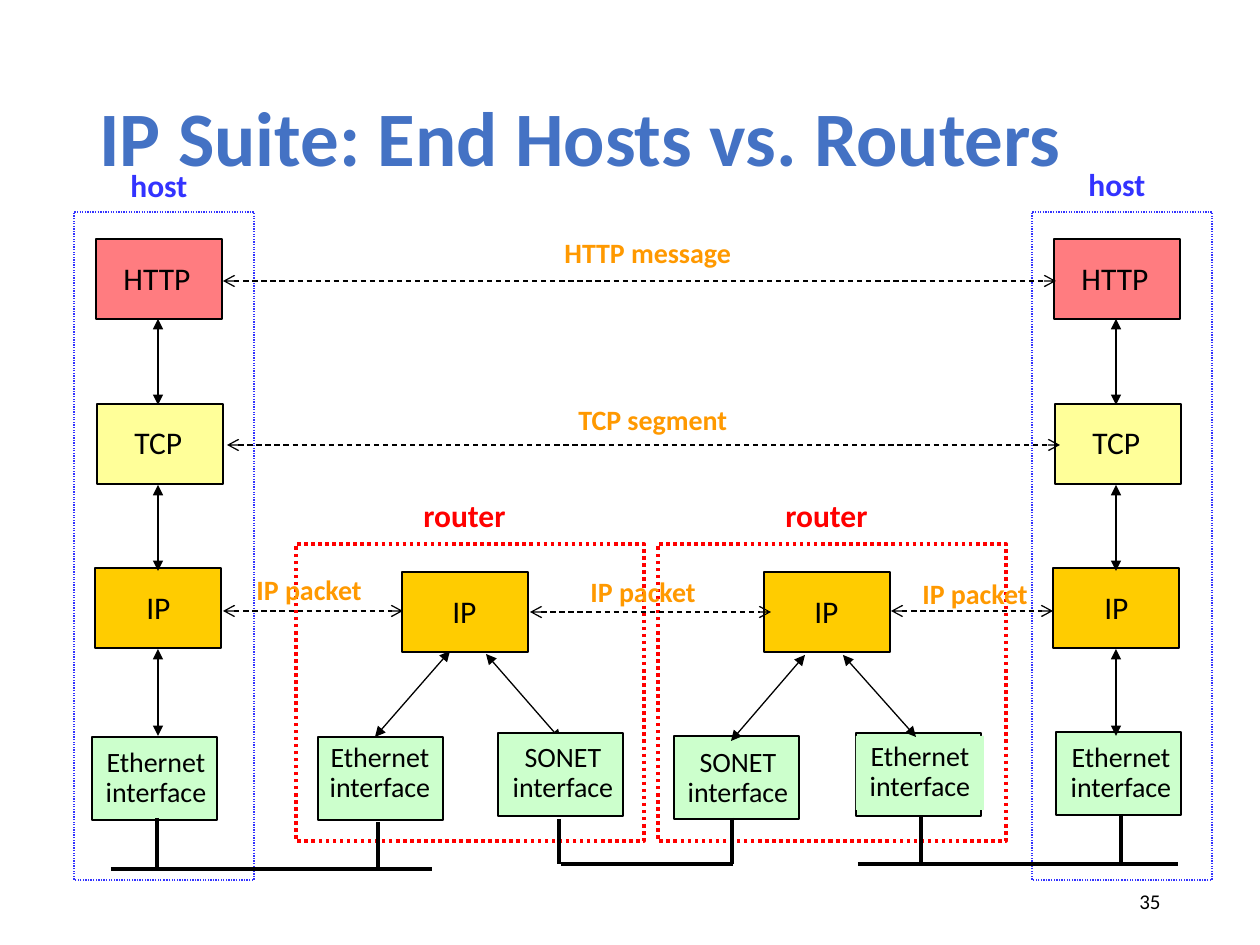
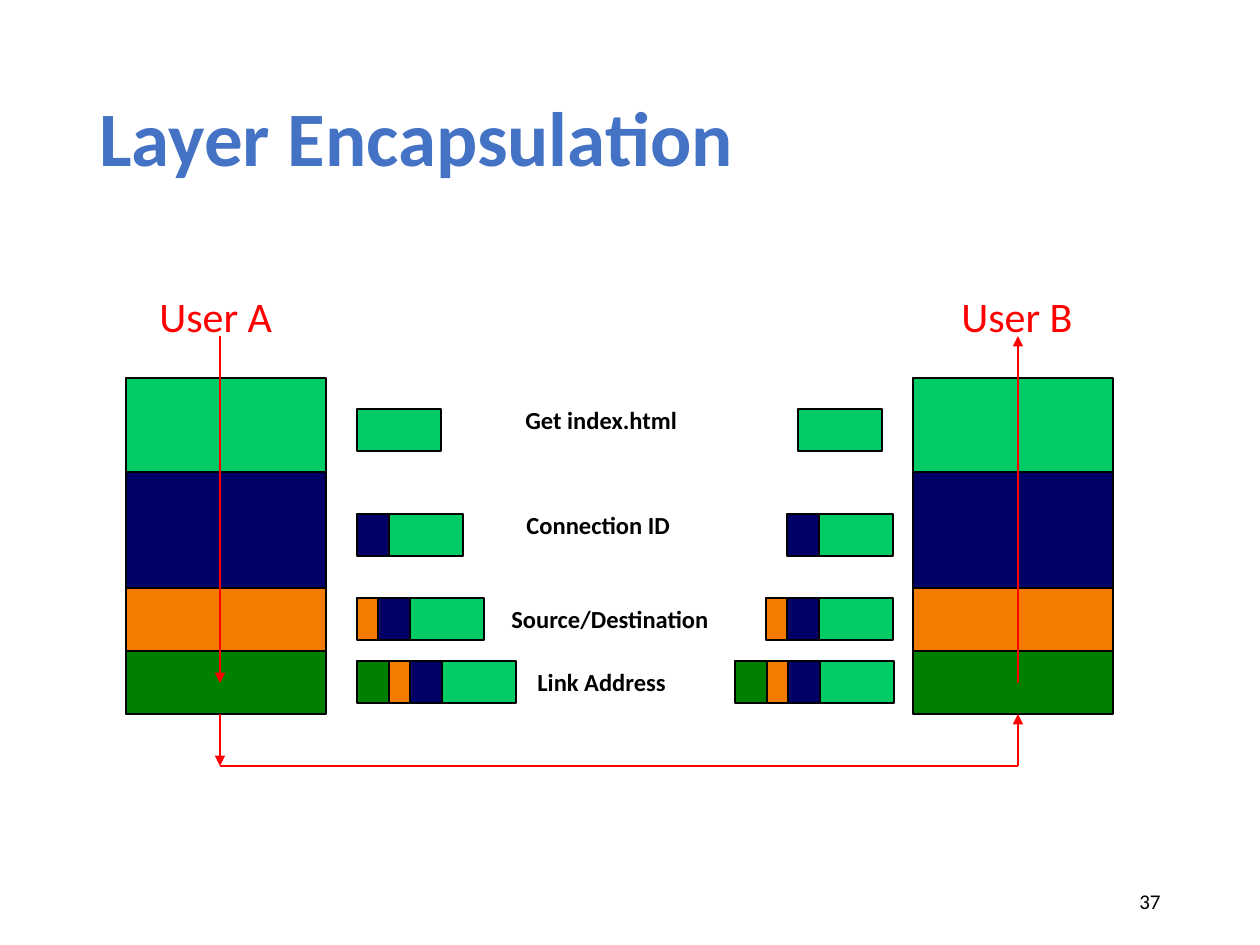
import collections
import pptx
import pptx.dml.color
import pptx.enum.dml
import pptx.enum.shapes
import pptx.enum.text
import pptx.oxml.ns
import pptx.util
from lxml import etree

RGBColor = pptx.dml.color.RGBColor
Align = pptx.enum.text.PP_ALIGN
Anchor = pptx.enum.text.MSO_ANCHOR
Dash = pptx.enum.dml.MSO_LINE

FONT = "Calibri"
BLACK = RGBColor(0x00, 0x00, 0x00)
TITLE_BLUE = RGBColor(0x44, 0x72, 0xC4)
HOST_BLUE = RGBColor(0x33, 0x33, 0xFF)
RED = RGBColor(0xFF, 0x00, 0x00)
MESSAGE_ORANGE = RGBColor(0xFF, 0x99, 0x00)
HTTP_PINK = RGBColor(0xFF, 0x7C, 0x80)
TCP_YELLOW = RGBColor(0xFF, 0xFF, 0x99)
IP_GOLD = RGBColor(0xFF, 0xCC, 0x00)
INTERFACE_GREEN = RGBColor(0xCC, 0xFF, 0xCC)
APPLICATION_GREEN = RGBColor(0x00, 0xCC, 0x66)
TRANSPORT_NAVY = RGBColor(0x00, 0x00, 0x66)
NETWORK_ORANGE = RGBColor(0xF4, 0x7A, 0x00)
LINK_GREEN = RGBColor(0x00, 0x80, 0x00)

PIXELS_PER_INCH = 126
SLIDE_WIDTH, SLIDE_HEIGHT = 1260, 945
LAYER_SIZE = (126, 80)
INTERFACE_SIZE = (125, 83)

# An interface box, the offset of its caption, and how it meets the arrows.
Interface = collections.namedtuple(
    "Interface", "left top name shift covers_arrow caption_fill", defaults=(False, None))
# A header is wider when it lies partly under the one in front of it.
Layer = collections.namedtuple("Layer", "color stack_height first_width inner_width overlap")
LAYERS = [
    Layer(APPLICATION_GREEN, 94, 84, 84, 10),
    Layer(TRANSPORT_NAVY, 116, 32, 42, 10),
    Layer(NETWORK_ORANGE, 63, 21, 42, 21),
    Layer(LINK_GREEN, 63, 32, 32, 0),
]


def emu(pixels):
    """Turn pixels into EMU."""
    return pptx.util.Emu(round(pixels * 914400 / PIXELS_PER_INCH))


def add_text(slide, box, lines, size, color=BLACK, bold=False, align=Align.LEFT,
             anchor=Anchor.TOP, wrap=False, spacing=None, fill=None):
    """Place a text box with one paragraph for each line."""
    shape = slide.shapes.add_textbox(*map(emu, box))
    if fill is not None:
        shape.fill.solid()
        shape.fill.fore_color.rgb = fill
    frame = shape.text_frame
    frame.word_wrap = wrap
    frame.vertical_anchor = anchor
    for index, line in enumerate(lines):
        paragraph = frame.paragraphs[0] if index == 0 else frame.add_paragraph()
        paragraph.alignment = align
        if spacing:
            paragraph.line_spacing = spacing
        run = paragraph.add_run()
        run.text = line
        run.font.name = FONT
        run.font.size = pptx.util.Pt(size)
        run.font.bold = bold
        run.font.color.rgb = color


def add_rectangle(slide, box, fill=None, line=BLACK, width=0.75, dash=None):
    """Place a rectangle; without a fill it is only a frame."""
    shape = slide.shapes.add_shape(
        pptx.enum.shapes.MSO_SHAPE.RECTANGLE, *map(emu, box))
    shape.shadow.inherit = False
    if fill is None:
        shape.fill.background()
    else:
        shape.fill.solid()
        shape.fill.fore_color.rgb = fill
    shape.line.color.rgb = line
    shape.line.width = pptx.util.Pt(width)
    if dash:
        shape.line.dash_style = dash


def add_line(slide, start, end, color=BLACK, width=0.75, dash=None, head=None, tail=None):
    """Draw a straight line with optional arrowheads at start and end."""
    connector = slide.shapes.add_connector(
        pptx.enum.shapes.MSO_CONNECTOR.STRAIGHT, *map(emu, (*start, *end)))
    connector.line.color.rgb = color
    connector.line.width = pptx.util.Pt(width)
    if dash:
        connector.line.dash_style = dash
    for tag, kind in (("a:headEnd", head), ("a:tailEnd", tail)):
        if kind:
            etree.SubElement(
                connector.get_or_add_ln(), pptx.oxml.ns.qn(tag), type=kind)
    etree.SubElement(connector._element.spPr, pptx.oxml.ns.qn("a:effectLst"))


def add_two_way_arrow(slide, start, end):
    """Draw a solid arrow between two neighbouring layers."""
    add_line(slide, start, end, head="triangle", tail="triangle")


def new_slide(presentation, title, number):
    """Add a blank slide with its title and slide number."""
    slide = presentation.slides.add_slide(presentation.slide_layouts[6])
    add_text(slide, (87, 50, 1086, 183), [title], 44, TITLE_BLUE, bold=True,
             anchor=Anchor.MIDDLE, wrap=True, spacing=0.9)
    add_text(slide, (890, 876, 283, 50), [str(number)], 12,
             align=Align.RIGHT, anchor=Anchor.MIDDLE, wrap=True)
    return slide


def draw_protocol(slide, left, top, name, color, caption):
    """Draw one protocol box; caption gives the text's offset and width."""
    shift, down, width = caption
    add_rectangle(slide, (left, top, *LAYER_SIZE), color)
    add_text(slide, (left + shift, top + down, width, 50), [name], 18)


def draw_interface(slide, left, top, interface):
    """Draw one network interface relative to the corner of its device."""
    left, top = left + interface.left, top + interface.top
    shift, down = interface.shift
    add_rectangle(slide, (left, top, *INTERFACE_SIZE), INTERFACE_GREEN)
    add_text(slide, (left + shift, top + down, 128, 74), [interface.name, "interface"], 16,
             align=Align.CENTER, spacing=0.9, fill=interface.caption_fill)


def draw_host(slide, box, interface, label_top):
    """Draw an end host with its four layers in a dotted frame."""
    left, top = box[:2]
    add_text(slide, (left + 44, label_top, 83, 50), ["host"], 18, HOST_BLUE, bold=True)
    draw_protocol(slide, left + 22, top + 27, "HTTP", HTTP_PINK, (15, 14, 93))
    draw_protocol(slide, left + 23, top + 192, "TCP", TCP_YELLOW, (25, 13, 73))
    draw_protocol(slide, left + 21, top + 356, "IP", IP_GOLD, (39, 14, 49))
    draw_interface(slide, left, top, interface)
    for start, end in ((107, 193), (273, 359), (437, 524)):
        add_two_way_arrow(slide, (left + 84, top + start), (left + 84, top + end))
    add_rectangle(slide, box, line=HOST_BLUE, dash=Dash.ROUND_DOT)


def draw_router(slide, box, interfaces, arrows):
    """Draw a router: IP above two interfaces, in a dotted frame."""
    left, top = box[:2]
    add_text(slide, (left + 115, top - 54, 111, 50), ["router"], 18, RED, bold=True)
    draw_protocol(slide, left + 106, top + 28, "IP", IP_GOLD, (38, 14, 49))
    for interface in interfaces:
        if not interface.covers_arrow:
            draw_interface(slide, left, top, interface)
    for start_x, start_y, end_x, end_y in arrows:
        add_two_way_arrow(slide, (left + start_x, top + start_y), (left + end_x, top + end_y))
    for interface in interfaces:
        if interface.covers_arrow:
            draw_interface(slide, left, top, interface)
    add_rectangle(slide, box, line=RED, width=2, dash=Dash.ROUND_DOT)


def draw_network(slide, left, right, level, drops):
    """Draw a physical link and the drops (x, top) that reach it."""
    for x, top in drops:
        add_line(slide, (x, top), (x, level), width=2)
    add_line(slide, (left, level), (right, level), width=2)


def draw_exchange(slide, left, right, level, name, label_box):
    """Draw the dashed arrow between peer layers and its label."""
    add_line(slide, (left, level), (right, level), dash=Dash.DASH, head="arrow", tail="arrow")
    add_text(slide, label_box, [name], 16, MESSAGE_ORANGE, bold=True)


def draw_stack(slide, box):
    """Draw a user's protocol stack, filling the box from the top."""
    left, top, width = box
    for layer in LAYERS:
        add_rectangle(slide, (left, top, width, layer.stack_height), layer.color)
        top += layer.stack_height


def draw_packet(slide, left, top, layers):
    """Draw a packet, payload first, so that each outer header lies in front."""
    cells = []
    for layer in reversed(layers):
        width = layer.inner_width if cells else layer.first_width
        start = left - layer.overlap if cells else left
        cells.append((start, width, layer.color))
        left = start + width
    for start, width, color in reversed(cells):
        add_rectangle(slide, (start, top, width, 42), color)


def build_hosts_and_routers(presentation):
    """Build the slide on end hosts and routers."""
    slide = new_slide(presentation, "IP Suite: End Hosts vs. Routers", 35)
    draw_host(slide, (74, 212, 180, 668), Interface(18, 525, "Ethernet", (0, 5)), 160)
    draw_host(slide, (1032, 212, 180, 668), Interface(24, 520, "Ethernet", (1, 5)), 159)
    draw_router(
        slide, (296, 544, 348, 297),
        [Interface(22, 193, "Ethernet", (-2, 0)),
         Interface(202, 189, "SONET", (1, 4), covers_arrow=True)],
        [(154, 107, 79, 193), (190, 110, 265, 196)])
    draw_router(
        slide, (658, 544, 348, 297),
        [Interface(16, 192, "SONET", (0, 6)),
         Interface(198, 189, "Ethernet", (0, 3), caption_fill=INTERFACE_GREEN)],
        [(147, 111, 73, 197), (185, 111, 258, 193)])
    draw_network(slide, 111, 432, 869, [(157, 818), (378, 822)])
    draw_network(slide, 561, 733, 864, [(559, 819), (732, 818)])
    draw_network(slide, 858, 1178, 864, [(921, 816), (1121, 816)])
    draw_exchange(slide, 223, 1056, 281, "HTTP message", (552, 229, 194, 47))
    draw_exchange(slide, 227, 1060, 445, "TCP segment", (566, 396, 176, 47))
    for left, right, level, label_left, label_top in (
            (223, 403, 611, 244, 566), (530, 771, 612, 578, 568), (891, 1053, 611, 910, 570)):
        draw_exchange(slide, left, right, level, "IP packet", (label_left, label_top, 132, 47))


def build_encapsulation(presentation):
    """Build the slide on layer encapsulation."""
    slide = new_slide(presentation, "Layer Encapsulation", 37)
    sender, receiver = 220, 1018
    top, inside, bottom, wire = 336, 683, 714, 766
    for left in (126, 913):
        draw_stack(slide, (left, 378, 200))
    add_line(slide, (sender, top), (sender, inside), RED, tail="triangle")
    add_line(slide, (receiver, inside), (receiver, top), RED, tail="triangle")
    add_line(slide, (sender, wire), (receiver, wire), RED)
    add_line(slide, (sender, bottom), (sender, wire), RED, tail="triangle")
    add_line(slide, (receiver, bottom), (receiver, wire), RED, head="triangle")

    rows = [
        (409, 798, "Get index.html", (513, 399, 179, 43)),
        (514, 787, "Connection ID", (514, 504, 170, 43)),
        (598, 766, "Source/Destination", (499, 598, 226, 43)),
        (661, 735, "Link Address", (525, 661, 155, 43)),
    ]
    for count, (row_top, receiver_left, name, label_box) in enumerate(rows, 1):
        for left in (357, receiver_left):
            draw_packet(slide, left, row_top, LAYERS[:count])
        add_text(slide, label_box, [name], 14, bold=True)
    for left, name in ((147, "User A"), (949, "User B")):
        add_text(slide, (left, 284, 138, 63), [name], 24, RED)


presentation = pptx.Presentation()
presentation.slide_width = emu(SLIDE_WIDTH)
presentation.slide_height = emu(SLIDE_HEIGHT)
build_hosts_and_routers(presentation)
build_encapsulation(presentation)
presentation.save("out.pptx")
